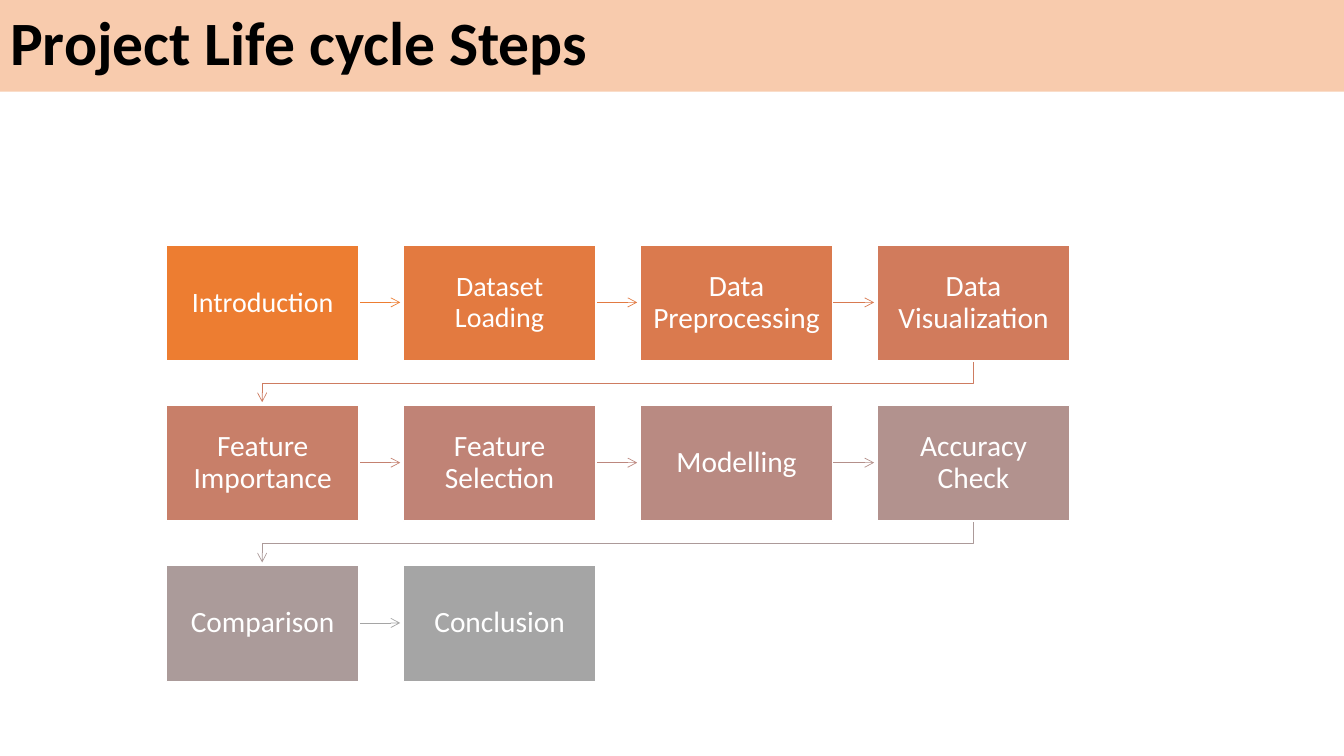
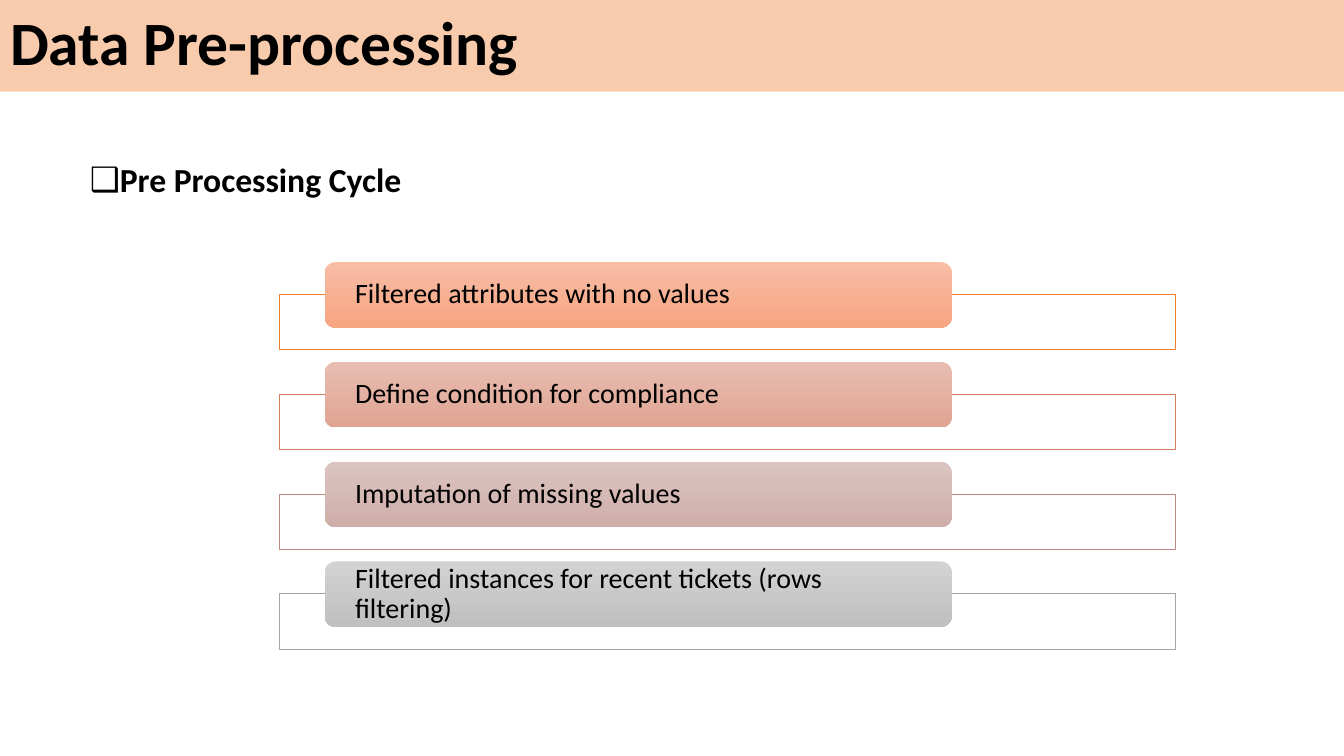
import dataclasses

import pptx
import pptx.dml.color
import pptx.enum.shapes
import pptx.enum.text
import pptx.oxml.ns
import pptx.oxml.xmlchemy
import pptx.shapes.autoshape
import pptx.shapes.base
import pptx.slide
import pptx.util
from lxml import etree

EMU_PER_PX = 9144  # 100 px to the inch
SLIDE_WIDTH, SLIDE_HEIGHT = 1333, 750
BAND_HEIGHT = 91
FONT = "Calibri"
BLACK, WHITE, BAND = "000000", "FFFFFF", "F8CBAD"

ALIGN = pptx.enum.text.PP_ALIGN
ANCHOR = pptx.enum.text.MSO_ANCHOR
SHAPE = pptx.enum.shapes.MSO_SHAPE


@dataclasses.dataclass(frozen=True)
class Box:
    left: int
    top: int
    width: int
    height: int


@dataclasses.dataclass(frozen=True)
class TextStyle:
    size: int
    color: str = BLACK
    bold: bool = False
    align: ALIGN = ALIGN.LEFT
    anchor: ANCHOR = ANCHOR.MIDDLE
    line_spacing: float = 0.9
    space_before: int = 0
    inset_x: int = 10
    inset_y: int = 5


@dataclasses.dataclass(frozen=True)
class Step:
    label: str
    fill: str
    arrow: str = ""
    size: int = 21


@dataclasses.dataclass(frozen=True)
class Card:
    label: str
    outline: str
    gradient_top: str
    gradient_bottom: str


TITLE_STYLE = TextStyle(44, bold=True)
HEADING_STYLE = TextStyle(24, bold=True, align=ALIGN.JUSTIFY, anchor=ANCHOR.TOP,
                          line_spacing=1.5, space_before=10)
CARD_STYLE = TextStyle(20, inset_x=27, inset_y=0)

STEPS = [
    Step("Introduction", "ED7D31", "ED7D31", 20),
    Step("Dataset Loading", "E37A40", "E27A42", 20),
    Step("Data Preprocessing", "DA7A4E", "D87A51"),
    Step("Data Visualization", "D17B5C", "CE7C61"),
    Step("Feature Importance", "C87F69", "C48170"),
    Step("Feature Selection", "C08376", "BC877E"),
    Step("Modelling", "B98A82", "B4908B"),
    Step("Accuracy Check", "B2928E", "AC9A99"),
    Step("Comparison", "AB9B9A", "A5A5A5"),
    Step("Conclusion", "A5A5A5"),
]
FIRST_STEP = Box(165, 243, 191, 115)
STEP_GAP = 44
STEP_COLUMNS = 4
ARROW_LENGTH = 41

CARDS = [
    Card("Filtered attributes with no values", "ED7D31", "F7BDA5", "F8A582"),
    Card("Define condition for compliance", "D17B5C", "E7BDB1", "E1A493"),
    Card("Imputation of missing values", "B98A82", "DBC4C1", "CFAEA9"),
    Card("Filtered instances for recent tickets (rows filtering)",
         "A5A5A5", "D2D2D2", "C0C0C0"),
]
FIRST_CARD = Box(322, 260, 622, 65)
FIRST_OUTLINE = Box(277, 292, 889, 55)
CARD_PITCH = 99


def px(length: int) -> pptx.util.Emu:
    return pptx.util.Emu(length * EMU_PER_PX)


def rgb(color: str) -> pptx.dml.color.RGBColor:
    return pptx.dml.color.RGBColor.from_string(color)


def add_xml(parent: etree.ElementBase, tag: str, **attributes: str) -> None:
    element = etree.SubElement(parent, pptx.oxml.ns.qn(tag))
    for name, value in attributes.items():
        element.set(name, value)


def place(shape: pptx.shapes.base.BaseShape, box: Box) -> None:
    shape.left, shape.top = px(box.left), px(box.top)
    shape.width, shape.height = px(box.width), px(box.height)


def write(shape: pptx.shapes.autoshape.Shape, text: str, style: TextStyle) -> None:
    frame = shape.text_frame
    frame.word_wrap = True
    frame.auto_size = pptx.enum.text.MSO_AUTO_SIZE.NONE
    frame.vertical_anchor = style.anchor
    frame.margin_left = frame.margin_right = px(style.inset_x)
    frame.margin_top = frame.margin_bottom = px(style.inset_y)
    paragraph = frame.paragraphs[0]
    paragraph.alignment = style.align
    paragraph.line_spacing = style.line_spacing
    paragraph.space_before = pptx.util.Pt(style.space_before)
    run = paragraph.add_run()
    run.text = text
    run.font.name = FONT
    run.font.size = pptx.util.Pt(style.size)
    run.font.bold = style.bold
    run.font.color.rgb = rgb(style.color)


def add_box(slide: pptx.slide.Slide, kind: SHAPE, box: Box, fill: str = WHITE,
            line: str = "", line_width: float = 0.5) -> pptx.shapes.autoshape.Shape:
    shape = slide.shapes.add_shape(kind, px(box.left), px(box.top),
                                   px(box.width), px(box.height))
    shape.shadow.inherit = False
    shape.fill.solid()
    shape.fill.fore_color.rgb = rgb(fill)
    if line:
        shape.line.color.rgb = rgb(line)
        shape.line.width = pptx.util.Pt(line_width)
    else:
        shape.line.fill.background()
    return shape


def add_arrow(slide: pptx.slide.Slide, points: list[tuple[int, int]], color: str) -> None:
    """Draw a connector for two points, an open polyline for more."""
    start, *others = points
    if len(others) == 1:
        arrow = slide.shapes.add_connector(
            pptx.enum.shapes.MSO_CONNECTOR.STRAIGHT,
            *(px(length) for point in points for length in point))
        add_xml(arrow.element.spPr, "a:effectLst")
    else:
        builder = slide.shapes.build_freeform(*start, scale=EMU_PER_PX)
        builder.add_line_segments(others, close=False)
        arrow = builder.convert_to_shape()
        arrow.shadow.inherit = False
        arrow.fill.background()
    arrow.line.color.rgb = rgb(color)
    arrow.line.width = pptx.util.Pt(0.5)
    add_xml(arrow.element.spPr.get_or_add_ln(), "a:tailEnd", type="arrow")


def add_titled_slide(presentation: pptx.presentation.Presentation, layout: str,
                     title: str) -> pptx.slide.Slide:
    slide = presentation.slides.add_slide(presentation.slide_layouts.get_by_name(layout))
    band = slide.shapes.title
    place(band, Box(0, 0, SLIDE_WIDTH, BAND_HEIGHT))
    band.fill.solid()
    band.fill.fore_color.rgb = rgb(BAND)
    write(band, title, TITLE_STYLE)
    return slide


def step_box(index: int) -> Box:
    row, column = divmod(index, STEP_COLUMNS)
    first = FIRST_STEP
    return Box(first.left + column * (first.width + STEP_GAP),
               first.top + row * (first.height + STEP_GAP), first.width, first.height)


def arrow_points(index: int) -> list[tuple[int, int]]:
    """Route from a step to the next one, turning at the end of a row."""
    box, target = step_box(index), step_box(index + 1)
    if target.top == box.top:
        right, middle = box.left + box.width, box.top + box.height // 2
        return [(right, middle), (right + ARROW_LENGTH, middle)]
    start_x, end_x = (each.left + each.width // 2 for each in (box, target))
    bottom = box.top + box.height
    turn = bottom + STEP_GAP // 2
    return [(start_x, bottom), (start_x, turn), (end_x, turn),
            (end_x, bottom + ARROW_LENGTH)]


def build_life_cycle(presentation: pptx.presentation.Presentation) -> None:
    slide = add_titled_slide(presentation, "Title Only", "Project Life cycle Steps")
    for index, step in enumerate(STEPS):
        if step.arrow:
            add_arrow(slide, arrow_points(index), step.arrow)
        shape = add_box(slide, SHAPE.RECTANGLE, step_box(index), step.fill, WHITE, 1)
        write(shape, step.label, TextStyle(step.size, WHITE, align=ALIGN.CENTER,
                                           inset_x=9, inset_y=10))


def build_pre_processing(presentation: pptx.presentation.Presentation) -> None:
    slide = add_titled_slide(presentation, "Title and Content", "Data Pre-processing")
    heading = slide.placeholders[1]
    place(heading, Box(79, 133, 998, 76))
    write(heading, "Pre Processing Cycle", HEADING_STYLE)
    properties = heading.element.xpath(".//a:pPr")[0]
    properties.set("marL", str(px(25)))
    properties.set("indent", str(px(-25)))
    add_xml(properties, "a:buChar", char="❑")

    for index, card in enumerate(CARDS):
        outline_box, card_box = (
            dataclasses.replace(box, top=box.top + index * CARD_PITCH)
            for box in (FIRST_OUTLINE, FIRST_CARD))
        add_box(slide, SHAPE.RECTANGLE, outline_box, line=card.outline)
        shape = add_box(slide, SHAPE.ROUNDED_RECTANGLE, card_box)
        shape.fill.gradient()
        shape.fill.gradient_angle = 270
        colors = (card.gradient_top, card.gradient_bottom)
        for position, (stop, color) in enumerate(zip(shape.fill.gradient_stops, colors)):
            stop.position = position
            stop.color.rgb = rgb(color)
        write(shape, card.label, CARD_STYLE)


def main() -> None:
    presentation = pptx.Presentation()
    presentation.slide_width = px(SLIDE_WIDTH)
    presentation.slide_height = px(SLIDE_HEIGHT)
    build_life_cycle(presentation)
    build_pre_processing(presentation)
    presentation.save("out.pptx")


if __name__ == "__main__":
    main()
